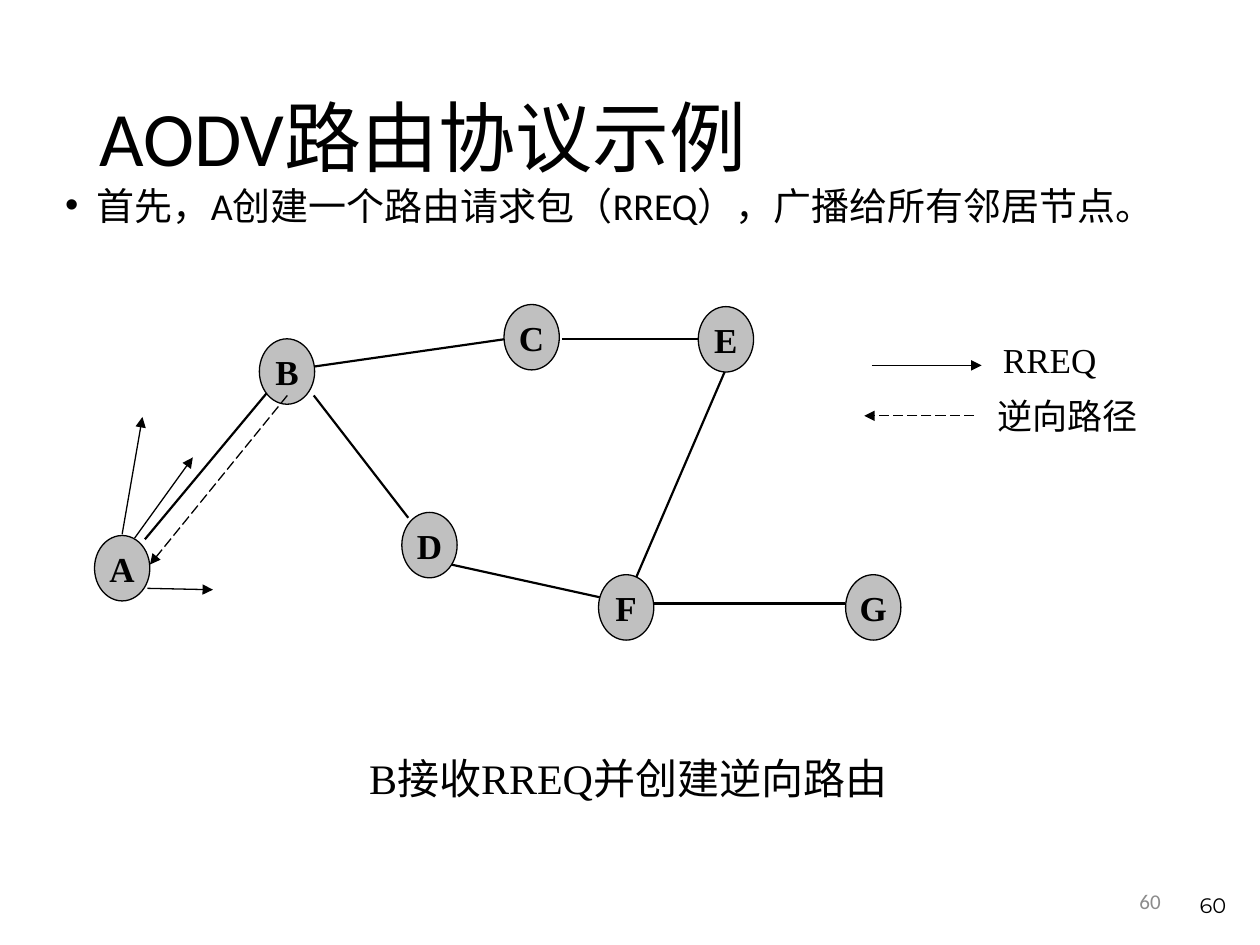
"""Build the AODV route request slide."""
from lxml import etree
from pptx import Presentation
from pptx.dml.color import RGBColor
from pptx.enum.dml import MSO_LINE
from pptx.enum.shapes import MSO_CONNECTOR, MSO_SHAPE
from pptx.enum.text import MSO_ANCHOR, PP_ALIGN
from pptx.oxml.ns import qn
from pptx.util import Pt

TOP, MID, LOW = MSO_ANCHOR.TOP, MSO_ANCHOR.MIDDLE, MSO_ANCHOR.BOTTOM
LEFT, RIGHT, CENTER, JUST = PP_ALIGN.LEFT, PP_ALIGN.RIGHT, PP_ALIGN.CENTER, PP_ALIGN.JUSTIFY
DASH = MSO_LINE.LONG_DASH
STRAIGHT, OVAL = MSO_CONNECTOR.STRAIGHT, MSO_SHAPE.OVAL
COLORS = {"ink": "000000", "node": "C0C0C0", "page": "8C8C8C"}
COLORS = {name: RGBColor.from_string(code) for name, code in COLORS.items()}
SERIF = "Times New Roman"

deck = Presentation()
deck.slide_width, deck.slide_height = Pt(720), Pt(540)
slide = deck.slides.add_slide(deck.slide_layouts[5])
shapes = slide.shapes


def write(shape, text, size, face, color="ink", align=LEFT, anchor=TOP, bold=False, inset=None):
    frame = shape.text_frame
    frame.word_wrap = True
    frame.vertical_anchor = anchor
    if inset is not None:
        for side in ("left", "top", "right", "bottom"):
            setattr(frame, f"margin_{side}", Pt(inset))
    para = frame.paragraphs[0]
    para.alignment = align
    run = para.add_run()
    run.text = text
    for key, value in {"size": Pt(size), "name": face, "bold": bold}.items():
        setattr(run.font, key, value)
    run.font.color.rgb = COLORS[color]
    return para


def draw(ends, width, dash=None, arrow=False):
    link = shapes.add_connector(STRAIGHT, *[Pt(n) for n in ends])
    link.line.color.rgb = COLORS["ink"]
    link.line.width = Pt(width)
    if dash:
        link.line.dash_style = dash
    if arrow:
        etree.SubElement(link.line._get_or_add_ln(), qn("a:tailEnd"), type="triangle")
    etree.SubElement(link._element.spPr, qn("a:effectLst"))


title = shapes.title
for key, value in {"left": 49.7, "top": 28.8, "width": 620.6, "height": 104.4}.items():
    setattr(title, key, Pt(value))
write(title, "AODV路由协议示例", 44, "Calibri", anchor=MID).line_spacing = 0.9

links = [
    (82.8, 308.2, 154.8, 221.8),
    (179.3, 209.5, 289.4, 193.7),
    (321.1, 193.7, 399.6, 193.7),
    (179.3, 226, 233.3, 295.9),
    (257.8, 322.6, 342.7, 341.3),
    (363.6, 329.8, 415.4, 209.5),
    (373, 344.9, 483.1, 344.9),
]
for ends in links:
    draw(ends, 1.25)

nodes = {
    "A": (54, 306), "B": (148.2, 193.6), "C": (288, 174), "D": (229.6, 292.8),
    "E": (399, 175.2), "F": (342, 328.4), "G": (483.2, 328.4),
}
for name, (left, top) in nodes.items():
    node = shapes.add_shape(OVAL, Pt(left), Pt(top), Pt(31.6), Pt(37.4))
    node.shadow.inherit = False
    node.fill.solid()
    node.fill.fore_color.rgb = COLORS["node"]
    node.line.color.rgb = COLORS["ink"]
    node.line.width = Pt(0.75)
    write(node, name, 20, SERIF, align=CENTER, anchor=MID, bold=True, inset=0)

arrows = [
    ((84.2, 336.2, 121.7, 337), None),
    ((77, 307.4, 110.2, 261.4), None),
    ((69.8, 305.3, 81.4, 238.3), None),
    ((498.2, 208.8, 560.9, 208.8), None),
    ((556.6, 237.6, 493.9, 237.6), DASH),
    ((164.2, 226, 85.7, 322.6), DASH),
]
for ends, dash in arrows:
    draw(ends, 0.75, dash, True)

labels = [
    ((573.1, 193.7, 62.6, 32.4), "RREQ", 20, SERIF, {"align": JUST, "inset": 0}),
    ((570.2, 225.4, 83.5, 32.4), "逆向路径", 20, SERIF, {"align": JUST, "inset": 0}),
    ((203.8, 426.2, 315.4, 36), "B接收RREQ并创建逆向路由", 24, SERIF, {"anchor": MID}),
    ((508.3, 500.4, 162, 28.8), "60", 12, "Calibri",
     {"color": "page", "align": RIGHT, "anchor": MID}),
    ((540, 491.8, 167.8, 36), "60", 12, "Montserrat", {"align": RIGHT, "anchor": LOW}),
]
for box, text, size, face, style in labels:
    write(shapes.add_textbox(*[Pt(n) for n in box]), text, size, face, **style)

body = shapes.add_textbox(Pt(30.2), Pt(108), Pt(642.2), Pt(41.8))
para = write(body, "首先，A创建一个路由请求包（RREQ），广播给所有邻居节点。", 21.7, "Calibri")
para.line_spacing = 0.7
para.space_before = Pt(10)
props = para._p.get_or_add_pPr()
props.set("marL", str(Pt(18)))
props.set("indent", str(-Pt(18)))
etree.SubElement(props, qn("a:buFont"), typeface="Arial")
etree.SubElement(props, qn("a:buChar"), char="•")

deck.save("out.pptx")
